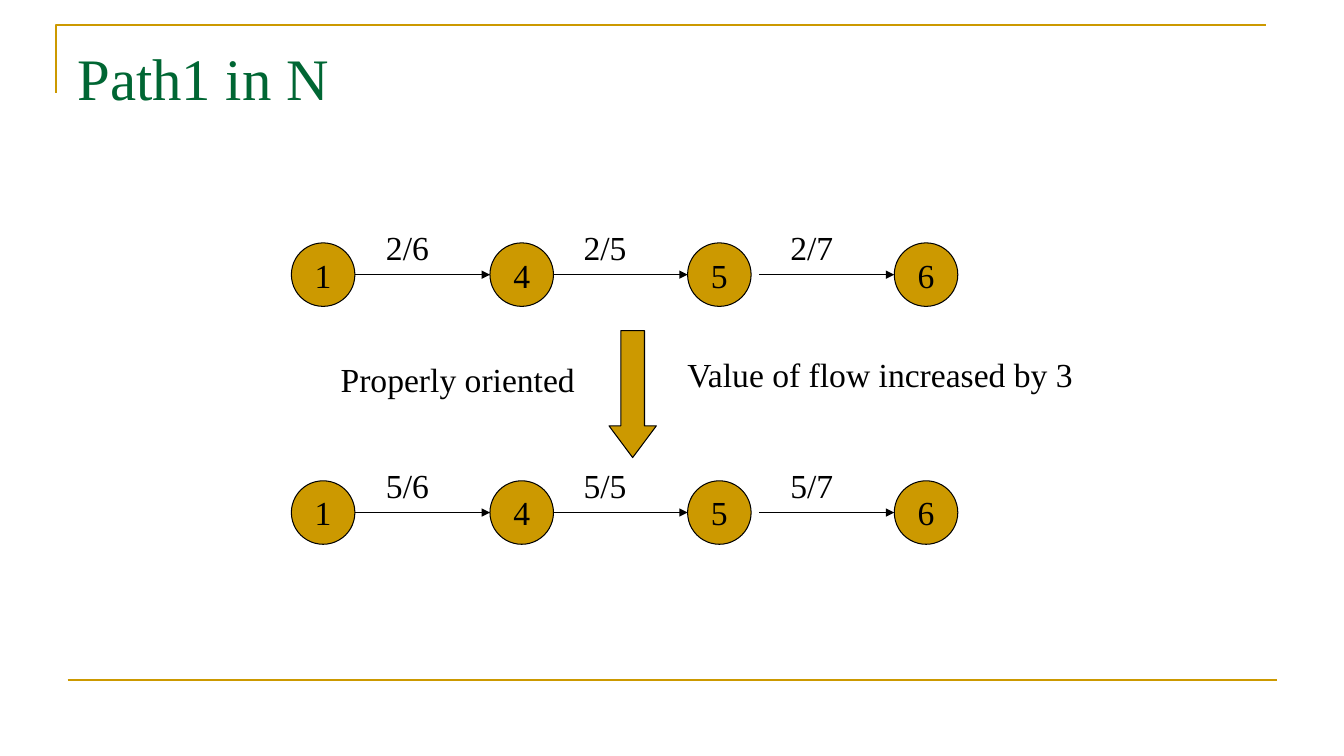
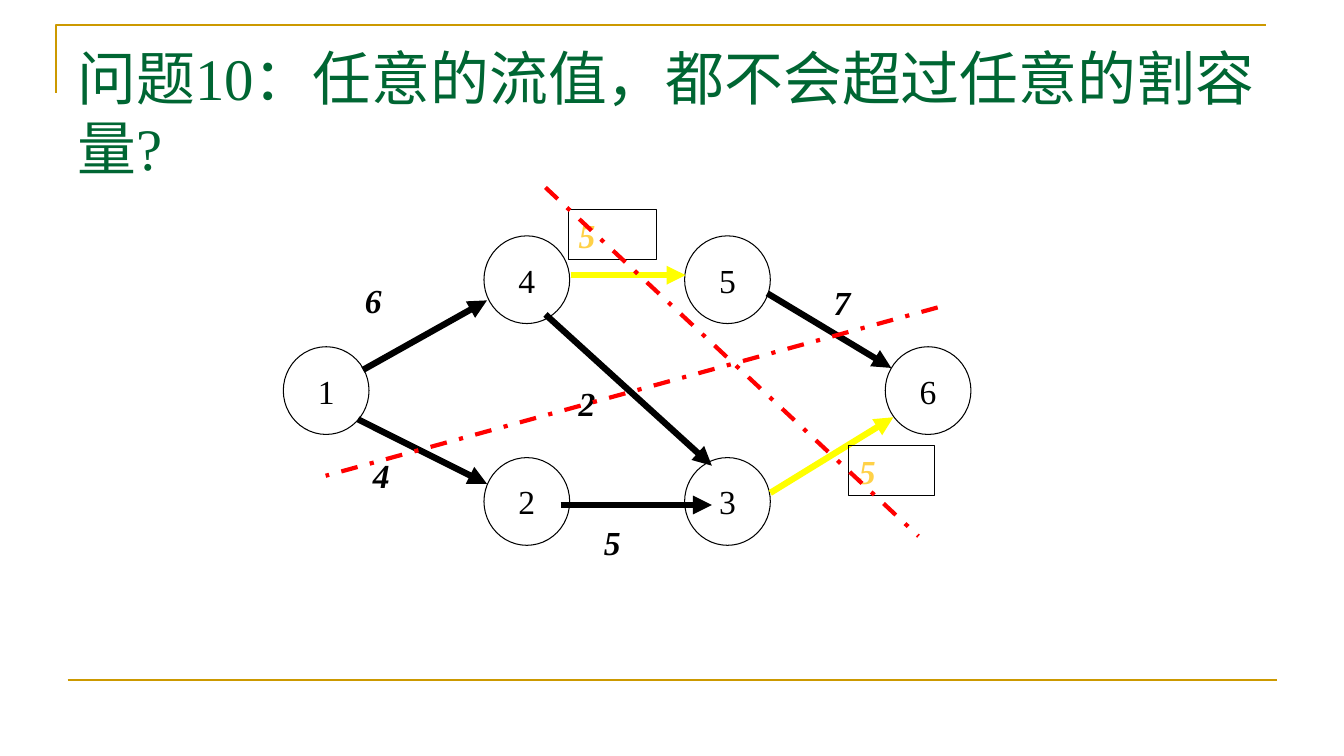
"""Build two slides on augmenting paths and cuts in a flow network."""
from typing import NamedTuple, Optional

from lxml import etree
from pptx import Presentation
from pptx.dml.color import RGBColor
from pptx.enum.dml import MSO_LINE
from pptx.enum.shapes import MSO_CONNECTOR as CONN, MSO_SHAPE as SHAPE
from pptx.enum.text import MSO_ANCHOR as ANCHOR, MSO_AUTO_SIZE as AUTO, PP_ALIGN as ALIGN
from pptx.oxml.ns import qn
from pptx.util import Inches, Pt

COLORS = {
    "gold": "CC9900",
    "green": "006633",
    "black": "000000",
    "yellow": "FFFF00",
    "amber": "FFD147",
    "red": "FF0000",
}
TITLE = {"name": "Times New Roman", "size": Pt(42)}
BODY = {"name": "Times New Roman", "size": Pt(24)}
WEIGHT = {**BODY, "bold": True, "italic": True}
TITLE_INSET = 0.11


class Box(NamedTuple):
    left: float
    top: float
    width: float
    height: float


class Edge(NamedTuple):
    x1: float
    y1: float
    x2: float
    y2: float
    color: str = "black"
    width: float = 4.5
    arrow: bool = True


class Label(NamedTuple):
    text: str
    box: Box
    framed: bool = False


class Node(NamedTuple):
    text: str
    col: int
    row: int


class Flow(NamedTuple):
    top: float
    values: tuple


def rgb(name: str) -> RGBColor:
    return RGBColor.from_string(COLORS[name])


def inches(box: Box) -> list:
    return [Inches(v) for v in box]


def write(sp, text: str, fmt: dict, color: str = "black", wrap: bool = False):
    tf = sp.text_frame
    tf.word_wrap = wrap
    p = tf.paragraphs[0]
    r = p.add_run()
    r.text = text
    for key, value in fmt.items():
        setattr(r.font, key, value)
    r.font.color.rgb = rgb(color)
    return tf


def add_text(s, text: str, box: Box, fmt: dict, color: str = "black", wrap: bool = False):
    sp = s.shapes.add_textbox(*inches(box))
    tf = write(sp, text, fmt, color, wrap)
    tf.auto_size = AUTO.NONE
    return sp


def add_shape(s, kind: SHAPE, box: Box, fill: Optional[str] = None):
    sp = s.shapes.add_shape(kind, *inches(box))
    sp.shadow.inherit = False
    if fill:
        sp.fill.solid()
        sp.fill.fore_color.rgb = rgb(fill)
    else:
        sp.fill.background()
    sp.line.color.rgb = rgb("black")
    sp.line.width = Pt(0.75)
    return sp


def add_node(s, text: str, box: Box, fill: Optional[str] = None) -> None:
    sp = add_shape(s, SHAPE.OVAL, box, fill)
    tf = write(sp, text, BODY)
    tf.vertical_anchor = ANCHOR.MIDDLE
    tf.paragraphs[0].alignment = ALIGN.CENTER


def add_edge(s, edge: Edge):
    ends = [Inches(v) for v in edge[:4]]
    sp = s.shapes.add_connector(CONN.STRAIGHT, *ends)
    sp.line.color.rgb = rgb(edge.color)
    sp.line.width = Pt(edge.width)
    if edge.arrow:
        tail = etree.SubElement(sp.line._get_or_add_ln(), qn("a:tailEnd"))
        tail.set("type", "triangle")
    etree.SubElement(sp._element.spPr, qn("a:effectLst"))
    return sp


def add_weight(s, label: Label) -> None:
    if label.framed:
        sp = add_shape(s, SHAPE.RECTANGLE, label.box)
        tf = write(sp, label.text, WEIGHT, "amber", wrap=True)
        tf.vertical_anchor = ANCHOR.TOP
        tf.paragraphs[0].alignment = ALIGN.LEFT
    else:
        add_text(s, label.text, label.box, WEIGHT, wrap=True)


def add_slide(prs, title: str, height: float):
    s = prs.slides.add_slide(prs.slide_layouts[6])
    fb = s.shapes.build_freeform(Inches(0.56), Inches(0.92))
    corner = [(Inches(0.56), Inches(0.25)), (Inches(12.56), Inches(0.25))]
    fb.add_line_segments(corner, close=False)
    sp = fb.convert_to_shape()
    sp.shadow.inherit = False
    sp.fill.background()
    sp.line.color.rgb = rgb("gold")
    sp.line.width = Pt(1.5)
    add_edge(s, Edge(0.67, 6.75, 12.67, 6.75, "gold", 1.5, False))
    sp = add_text(s, title, Box(0.67, 0.3, 12, height), TITLE, "green", wrap=True)
    sp.text_frame.margin_top = Inches(TITLE_INSET)
    return s


def add_flow(s, flow: Flow) -> None:
    size, length = 0.63, 1.34
    lefts = (2.89, 4.86, 6.82, 8.87)
    middle = flow.top + size / 2
    for text, left in zip("1456", lefts):
        add_node(s, text, Box(left, flow.top, size, size), "gold")
    for value, end in zip(flow.values, lefts[1:]):
        start = end - length
        add_edge(s, Edge(start, middle, end, middle, width=0.75))
        add_text(s, value, Box(start + 0.21, flow.top - 0.21, size, 0.5), BODY)


def path_slide(prs) -> None:
    s = add_slide(prs, "Path1 in N", 1.25)
    for flow in (Flow(2.41, ("2/6", "2/5", "2/7")), Flow(4.77, ("5/6", "5/5", "5/7"))):
        add_flow(s, flow)
    add_text(s, "Properly oriented", Box(3.28, 3.51, 2.52, 0.5), BODY)
    add_text(s, "Value of flow increased by 3", Box(6.72, 3.46, 4.06, 0.5), BODY)
    sp = add_shape(s, SHAPE.DOWN_ARROW, Box(6.04, 3.28, 0.47, 1.26), "gold")
    sp.adjustments[0] = 0.5
    sp.adjustments[1] = 0.67


def cut_slide(prs) -> None:
    s = add_slide(prs, "问题10：任意的流值，都不会超过任意的割容量?", 1.49)
    nodes = (
        Node("1", 0, 1), Node("4", 1, 0), Node("5", 2, 0),
        Node("2", 1, 2), Node("3", 2, 2), Node("6", 3, 1),
    )
    edges = (
        Edge(3.6, 3.67, 4.83, 2.98),
        Edge(3.55, 4.16, 4.83, 4.8),
        Edge(5.66, 2.73, 6.8, 2.73, "yellow"),
        Edge(7.61, 2.91, 8.84, 3.65),
        Edge(7.64, 4.89, 8.86, 4.14, "yellow"),
        Edge(5.56, 5.01, 7.06, 5.01),
        Edge(5.41, 3.12, 7.06, 4.62),
    )
    weights = (
        Label("6", Box(3.52, 2.73, 0.88, 0.5)),
        Label("4", Box(3.6, 4.46, 0.94, 0.5)),
        Label("5", Box(5.64, 2.08, 0.87, 0.5), True),
        Label("7", Box(8.17, 2.75, 0.83, 0.5)),
        Label("5", Box(8.42, 4.42, 0.85, 0.5), True),
        Label("5", Box(5.89, 5.13, 0.7, 0.5)),
        Label("2", Box(5.64, 3.75, 0.87, 0.5)),
    )
    cuts = (
        Edge(5.41, 1.86, 9.11, 5.32, "red", 3, False),
        Edge(9.3, 3.05, 3.23, 4.72, "red", 3, False),
    )
    for node in nodes:
        box = Box(2.81 + 1.99 * node.col, 2.34 + 1.1 * node.row, 0.85, 0.87)
        add_node(s, node.text, box)
    for edge in edges:
        add_edge(s, edge)
    for weight in weights:
        add_weight(s, weight)
    for cut in cuts:
        add_edge(s, cut).line.dash_style = MSO_LINE.DASH_DOT


def main() -> None:
    prs = Presentation()
    prs.slide_width = Inches(13.33)
    prs.slide_height = Inches(7.5)
    path_slide(prs)
    cut_slide(prs)
    prs.save("out.pptx")


if __name__ == "__main__":
    main()
